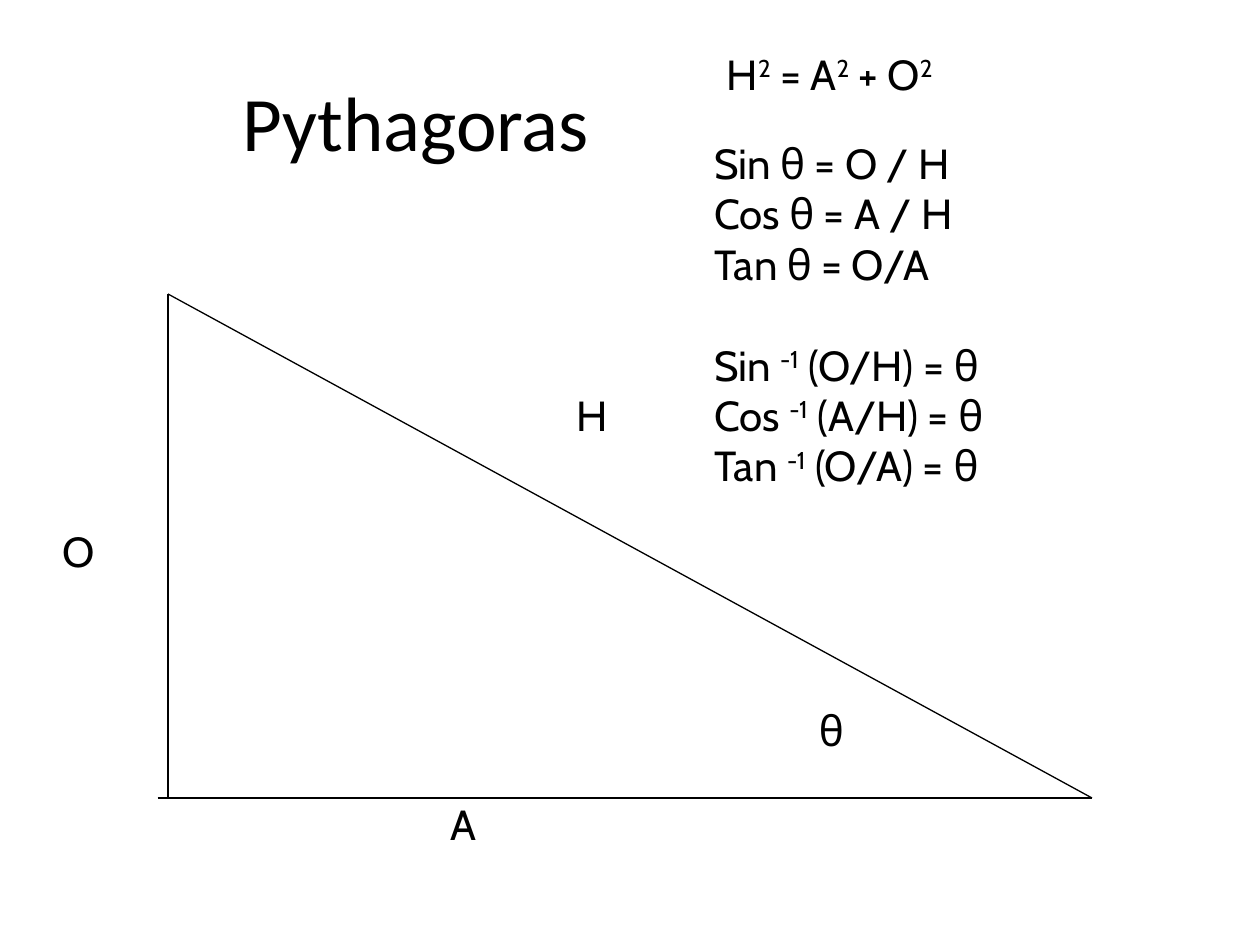
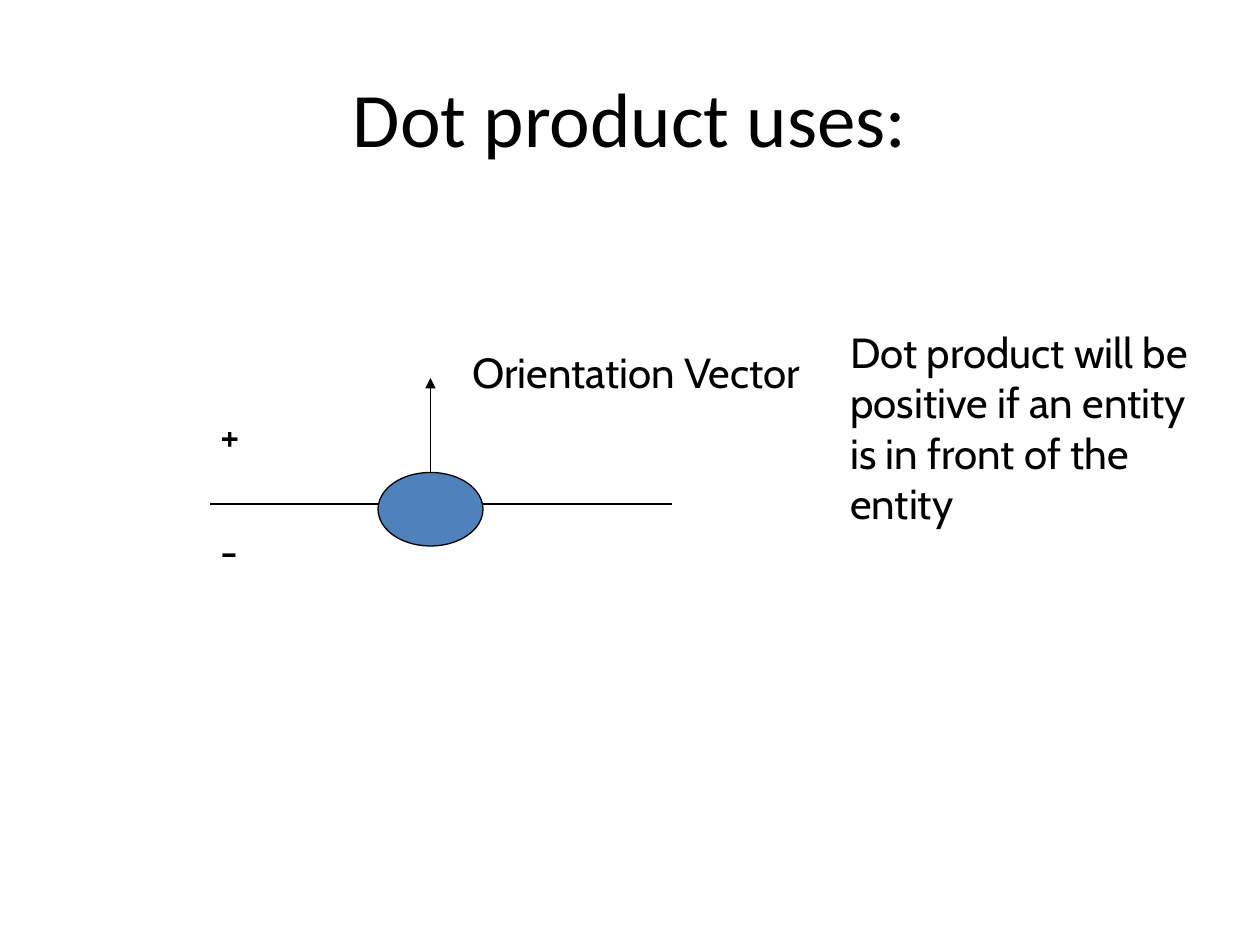
import pptx
import pptx.util
import pptx.dml.color
import pptx.enum.shapes
import pptx.enum.text
import pptx.oxml.ns
import lxml.etree

Pt = pptx.util.Pt
SHAPES = pptx.enum.shapes

COLOURS = {"ink": "000000", "entity": "4F81BD"}
TITLE_FONT, TITLE_SIZE = "Calibri", 44
BODY_FONT, BODY_SIZE = "Cabin", 24
LINE_WEIGHT = 0.75
LINE_PITCH = 29  # height of one body line
LABEL_HEIGHT = 36

# Content: text between carets is superscript, places are in points
PYTHAGORAS = {
    "title": ("Pythagoras", -86.4, 24),
    "labels": [  # text, left, top, width
        ("H", 322.6, 219, 31),
        ("O", 28.8, 296.6, 31.7),
        ("A", 250.6, 453, 28.8),
        ("θ", 460.8, 399, 28),
        ("H^2^ = A^2^ + O^2^", 408.2, 24, 153.4),
    ],
    "ratios": [
        ["Sin θ = O / H", "Cos θ = A / H", "Tan θ = O/A"],
        ["Sin ^-1^ (O/H) = θ", "Cos ^-1^ (A/H) = θ", "Tan ^-1^ (O/A) = θ"],
    ],
}
DOT_PRODUCT = {
    "title": ("Dot product uses:", 36, 21.6),
    "labels": [
        ("Orientation Vector", 262.8, 194.4, 207.4),
        ("+", 118.8, 230.4, 31.7),
        ("-", 118.8, 296.6, 23),
    ],
    "explanation": "Dot product will be positive if an entity is in front of the entity",
}


def colour(name):
    return pptx.dml.color.RGBColor.from_string(COLOURS[name])


def style(font, name, size):
    font.name = name
    font.size = Pt(size)
    font.color.rgb = colour("ink")


def add_titled_slide(deck, content):
    slide = deck.slides.add_slide(deck.slide_layouts[5])
    text, left, top = content["title"]
    title = slide.shapes.title
    title.left, title.top, title.width, title.height = Pt(left), Pt(top), Pt(648), Pt(90)
    title.text_frame.text = text
    title.text_frame.vertical_anchor = pptx.enum.text.MSO_ANCHOR.MIDDLE
    heading = title.text_frame.paragraphs[0]
    heading.alignment = pptx.enum.text.PP_ALIGN.CENTER
    style(heading.runs[0].font, TITLE_FONT, TITLE_SIZE)
    return slide


def add_text(slide, groups, left, top, width, height=LABEL_HEIGHT, wrap=False):
    """Write groups of lines, one line height apart from each other."""
    frame = slide.shapes.add_textbox(Pt(left), Pt(top), Pt(width), Pt(height)).text_frame
    frame.word_wrap = wrap
    frame.auto_size = pptx.enum.text.MSO_AUTO_SIZE.SHAPE_TO_FIT_TEXT
    paragraph = None
    for group in groups:
        for index, line in enumerate(group):
            if paragraph is None:
                paragraph = frame.paragraphs[0]
            else:
                paragraph = frame.add_paragraph()
                paragraph.space_before = Pt(0 if index else LINE_PITCH)
            for part, text in enumerate(line.split("^")):
                if text:
                    run = paragraph.add_run()
                    run.text = text
                    style(run.font, BODY_FONT, BODY_SIZE)
                    if part % 2:
                        run.font._element.set("baseline", "30000")


def add_labels(slide, content):
    for text, left, top, width in content["labels"]:
        add_text(slide, [[text]], left, top, width)


def add_line(slide, start, end, arrow=False):
    line = slide.shapes.add_connector(
        SHAPES.MSO_CONNECTOR.STRAIGHT, *(Pt(value) for value in (*start, *end)))
    line.line.color.rgb = colour("ink")
    line.line.width = Pt(LINE_WEIGHT)
    qn = pptx.oxml.ns.qn
    if arrow:
        lxml.etree.SubElement(line.line._get_or_add_ln(), qn("a:tailEnd"), type="triangle")
    lxml.etree.SubElement(line._element.spPr, qn("a:effectLst"))
    return line


def build_pythagoras(deck):
    slide = add_titled_slide(deck, PYTHAGORAS)

    # Right-angled triangle, its base a little longer on the left
    apex, corner, angle = (96, 168), (96, 456), (624, 456)
    add_line(slide, apex, corner)
    add_line(slide, (90, 456), angle)
    add_line(slide, apex, angle)

    # Side names and formulas
    add_labels(slide, PYTHAGORAS)
    add_text(slide, PYTHAGORAS["ratios"], 401, 74.9, 295.2, 210, wrap=True)


def build_dot_product(deck):
    slide = add_titled_slide(deck, DOT_PRODUCT)

    # Entity on the line that parts front from back
    add_line(slide, (120, 288), (384, 288))
    entity = slide.shapes.add_shape(
        SHAPES.MSO_SHAPE.OVAL, Pt(216), Pt(270), Pt(60), Pt(42))
    entity.shadow.inherit = False
    entity.fill.solid()
    entity.fill.fore_color.rgb = colour("entity")
    entity.line.color.rgb = colour("ink")
    entity.line.width = Pt(LINE_WEIGHT)

    # Orientation vector
    orientation = add_line(slide, (246, 270), (246, 216), arrow=True)
    orientation.begin_connect(entity, 0)

    # Signs and explanation
    add_labels(slide, DOT_PRODUCT)
    add_text(slide, [[DOT_PRODUCT["explanation"]]], 478.8, 182.9, 217.4, 122.4, wrap=True)


def main():
    deck = pptx.Presentation()
    deck.slide_width, deck.slide_height = Pt(720), Pt(540)
    build_pythagoras(deck)
    build_dot_product(deck)
    deck.save("out.pptx")


if __name__ == "__main__":
    main()
